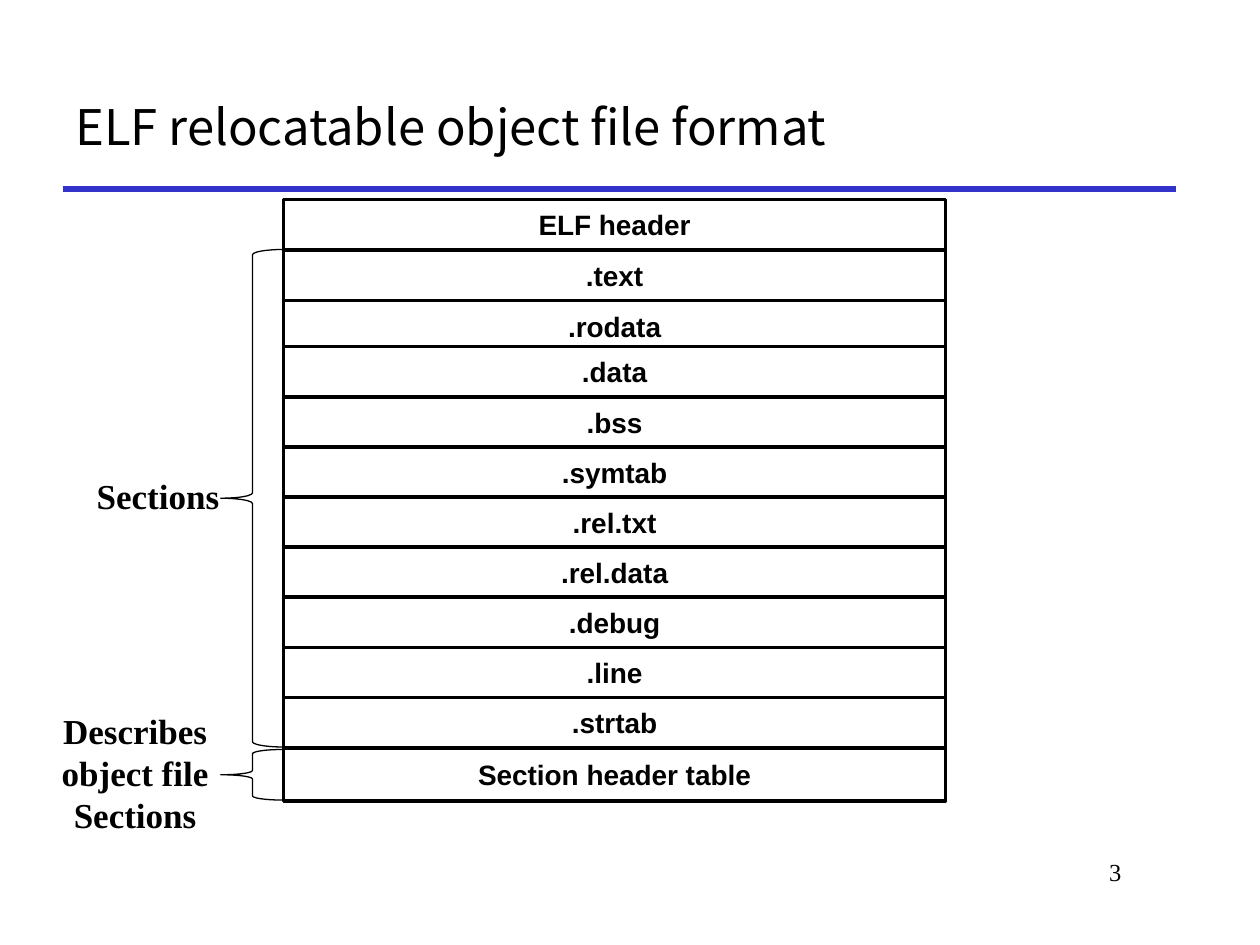
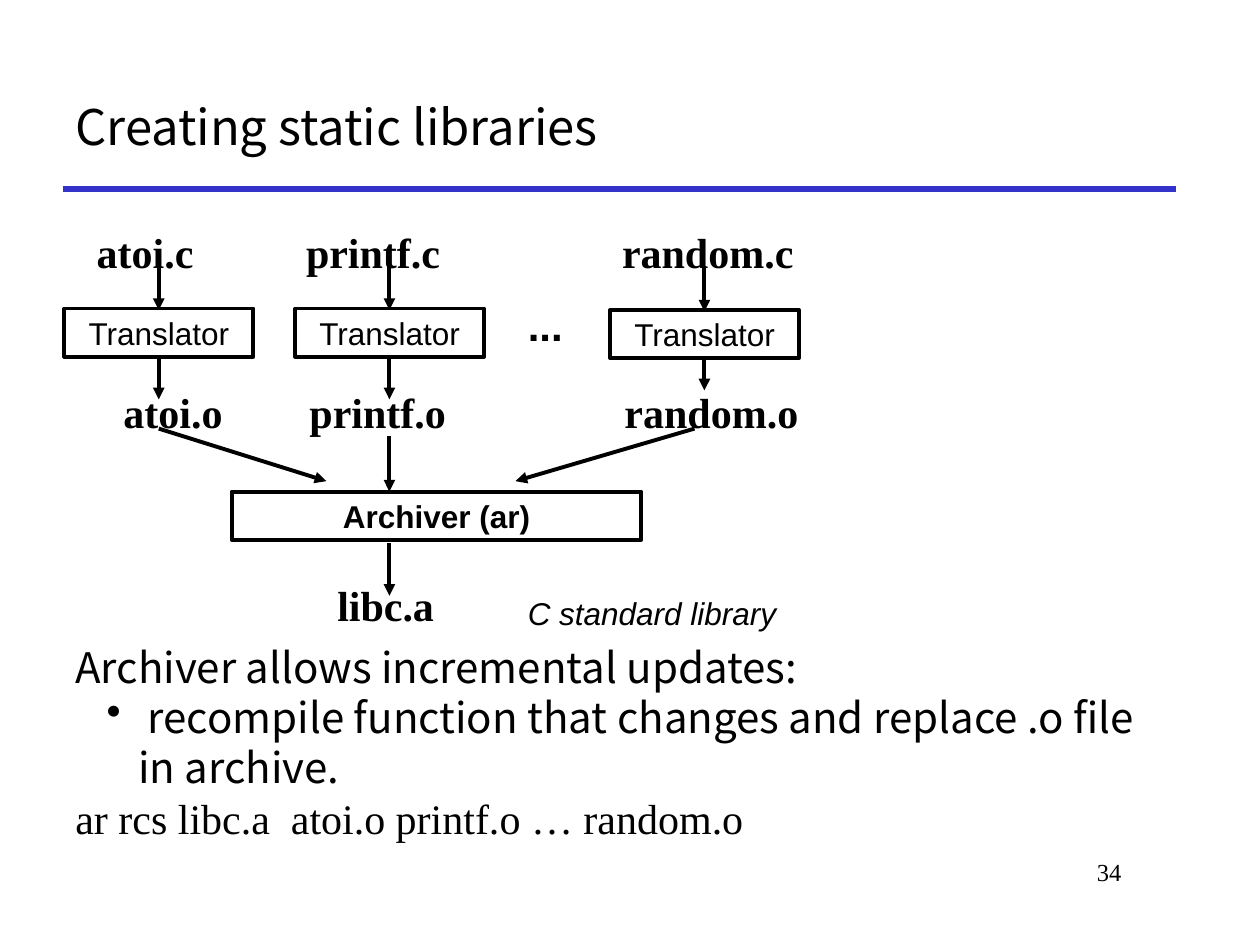
from lxml.etree import SubElement
from pptx import Presentation
from pptx.dml.color import RGBColor
from pptx.enum.shapes import MSO_CONNECTOR, MSO_SHAPE
from pptx.enum.text import MSO_ANCHOR, MSO_AUTO_SIZE, PP_ALIGN
from pptx.oxml.ns import qn
from pptx.util import Cm, Pt

BLACK, WHITE, BLUE = "000000", "FFFFFF", "3333CC"
SANS, SERIF, HEADING = "Arial", "Times New Roman", "Noto Sans CJK KR"
color = RGBColor.from_string


def add_text(page, text, at, font=SERIF, size=24, bold=False, italic=False,
             align=PP_ALIGN.LEFT, anchor=MSO_ANCHOR.TOP, wrap=False,
             fit=True, outline=None, fill=None):
    """Add a text box, or a rectangle when an outline width is given."""
    place = [Cm(length) for length in at]
    if outline:
        box = page.shapes.add_shape(MSO_SHAPE.RECTANGLE, *place)
        box.shadow.inherit = False
        box.line.color.rgb = color(BLACK)
        box.line.width = Pt(outline)
        if fill:
            box.fill.solid()
            box.fill.fore_color.rgb = color(fill)
        else:
            box.fill.background()
    else:
        box = page.shapes.add_textbox(*place)
    frame = box.text_frame
    frame.word_wrap = wrap
    frame.auto_size = MSO_AUTO_SIZE.SHAPE_TO_FIT_TEXT if fit else MSO_AUTO_SIZE.NONE
    frame.vertical_anchor = anchor
    frame.text = text
    for para in frame.paragraphs:
        para.alignment = align
        for span in para.runs:
            span.font.name = font
            span.font.size = Pt(size)
            span.font.bold = bold
            span.font.italic = italic
            span.font.color.rgb = color(BLACK)
    return box


def add_line(page, start, end, hue=BLACK, width=2.25, arrow=True):
    x1, y1, x2, y2 = [Cm(length) for length in (*start, *end)]
    line = page.shapes.add_connector(MSO_CONNECTOR.STRAIGHT, x1, y1, x2, y2)
    line.line.color.rgb = color(hue)
    line.line.width = Pt(width)
    if arrow:
        SubElement(line.line._get_or_add_ln(), qn("a:tailEnd"), type="triangle")
    SubElement(line._element.spPr, qn("a:effectLst"))


deck = Presentation()
deck.slide_width, deck.slide_height = Cm(25.4), Cm(19.05)

# Shared by both slides: rule, page number, title
pages = []
for title, number in [("ELF relocatable object file format", "3"),
                      ("Creating static libraries", "34")]:
    page = deck.slides.add_slide(deck.slide_layouts[6])
    add_line(page, (1.27, 3.81), (23.7, 3.81), hue=BLUE, width=3, arrow=False)
    add_text(page, number, (19.25, 17.15, 3.61, 1.27), size=14,
             align=PP_ALIGN.RIGHT, wrap=True, fit=False)
    add_text(page, title, (1.27, 1.27, 22.43, 2.54), font=HEADING, size=28,
             anchor=MSO_ANCHOR.MIDDLE, wrap=True, fit=False)
    pages.append(page)
format_page, library_page = pages

# Slide 1: stack of file parts, as runs of equally spaced rows
row_runs = [
    (4.02, 1.02, ["ELF header", ".text", ".rodata"]),
    (6.99, 1.01, [".data", ".bss", ".symtab", ".rel.txt", ".rel.data",
                  ".debug", ".line", ".strtab"]),
    (15.08, 1.07, ["Section header table"]),
]
for top, height, names in row_runs:
    for index, name in enumerate(names):
        add_text(format_page, name, (5.72, top + index * height, 13.34, height),
                 font=SANS, size=16, bold=True, align=PP_ALIGN.CENTER,
                 anchor=MSO_ANCHOR.MIDDLE, fit=False, outline=2, fill=WHITE)

# Braces and their labels
for top, height in [(5.03, 10.03), (15.11, 1.02)]:
    brace = format_page.shapes.add_shape(
        MSO_SHAPE.LEFT_BRACE, Cm(4.45), Cm(top), Cm(1.28), Cm(height))
    brace.shadow.inherit = False
    brace.fill.background()
    brace.line.color.rgb = color(BLACK)
    brace.line.width = Pt(0.75)
add_text(format_page, "Sections", (1.7, 9.45, 3, 1.12), size=20, bold=True)
add_text(format_page, "Describes\nobject file\nSections", (0.97, 14.17, 3.51, 2.82),
         size=20, bold=True, align=PP_ALIGN.CENTER)

# Slide 2: one column per source file
box_format = dict(font=SANS, size=18, align=PP_ALIGN.CENTER,
                  anchor=MSO_ANCHOR.MIDDLE, wrap=True, outline=2.25)
columns = [  # name, centre, source left, object left, label width, box top, arrow end
    ("atoi", 3.2, 1.7, 2.24, 2.5, 6.22, 8.05),
    ("printf", 7.85, 5.92, 5.99, 3.27, 6.22, 8.05),
    ("random", 14.2, 12.29, 12.34, 4.03, 6.25, 7.87),
]
for name, center, source_left, object_left, width, top, arrow_end in columns:
    add_text(library_page, name + ".c", (source_left, 4.45, width, 1.14), bold=True)
    add_line(library_page, (center, 5.37), (center, top + 0.03))
    add_text(library_page, "Translator", (center - 1.9, top, 3.81, 0.97), **box_format)
    add_line(library_page, (center, top + 0.94), (center, arrow_end))
    add_text(library_page, name + ".o", (object_left, 7.67, width, 1.14), bold=True)
add_text(library_page, "...", (10.39, 5.92, 1.22, 1.14), font=SANS, bold=True)

# Archiver and its result
for start, end in [((3.2, 8.64), (6.58, 9.7)), ((7.85, 8.79), (7.85, 9.91)),
                   ((14, 8.64), (10.39, 9.7)), ((7.85, 10.95), (7.85, 12.01))]:
    add_line(library_page, start, end)
add_text(library_page, "Archiver (ar)", (4.67, 9.91, 8.26, 0.97), bold=True, **box_format)
add_text(library_page, "libc.a", (6.55, 11.56, 2.49, 1.14), bold=True)
add_text(library_page, "C standard library", (10.39, 11.86, 8.26, 0.91),
         font=SANS, size=18, italic=True, wrap=True)

# Closing notes with one bullet and a command line
notes = add_text(
    library_page,
    "Archiver allows incremental updates:\n"
    " recompile function that changes and replace .o file in archive.\n"
    "ar rcs libc.a  atoi.o printf.o … random.o",
    (1.27, 12.8, 22.66, 4.37), font=HEADING, wrap=True)
_, bullet, command = notes.text_frame.paragraphs
bullet.level = 1
bullet_format = bullet._p.get_or_add_pPr()
bullet_format.set("marL", str(Cm(1.27)))
bullet_format.set("indent", str(Cm(-0.64)))
SubElement(bullet_format, qn("a:buChar"), char="•")
command.runs[0].font.name = SERIF

deck.save("out.pptx")
